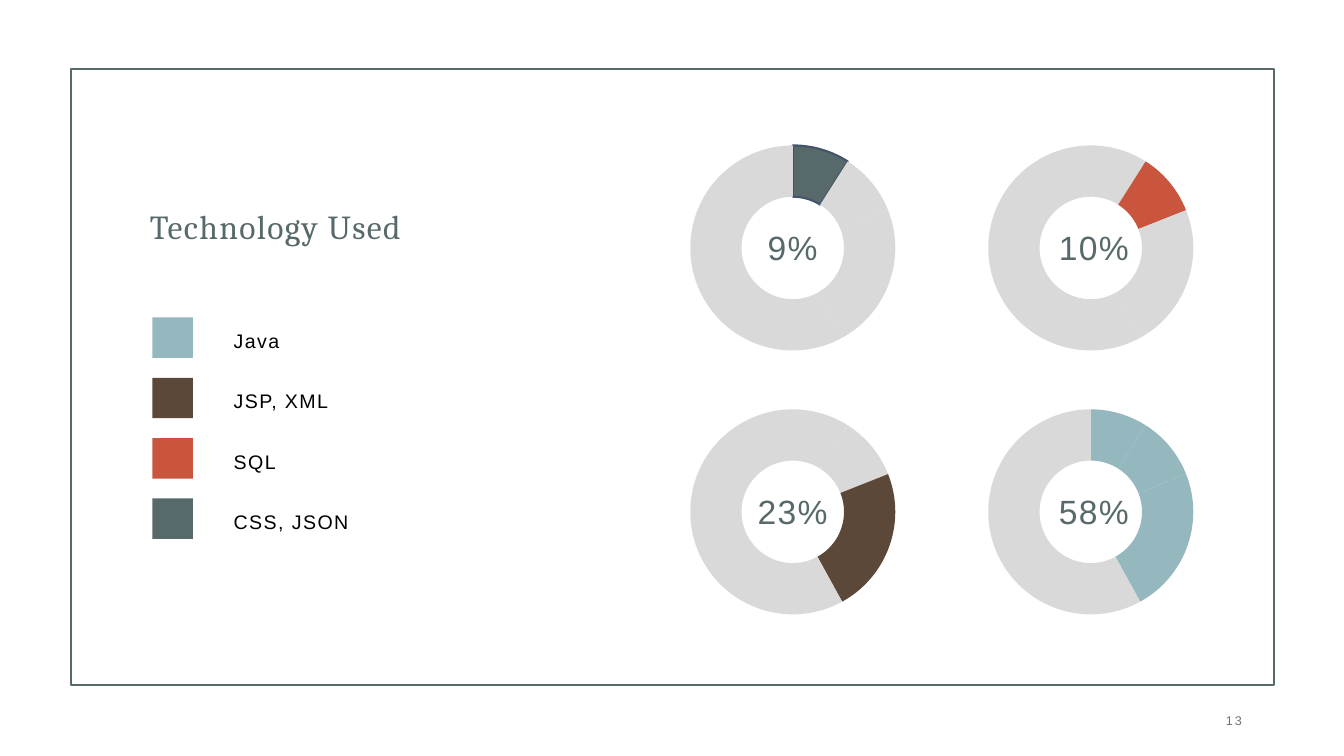
from dataclasses import dataclass

from lxml import etree
from pptx import Presentation
from pptx import util as u
from pptx.chart.data import CategoryChartData
from pptx.dml.color import RGBColor
from pptx.enum import chart as kinds, shapes, text
from pptx.oxml import parse_xml
from pptx.oxml.ns import nsdecls


@dataclass(frozen=True)
class Theme:
    slate: str = "58696B"
    blue: str = "95B8BF"
    brown: str = "5B4839"
    red: str = "CA553E"
    pale: str = "D9D9D9"
    navy: str = "44546A"
    gray: str = "767171"
    black: str = "000000"
    serif: str = "Cambria"
    sans: str = "Arial"
    large: float = 24
    body: float = 14
    tick: float = 10
    small: float = 9


THEME = Theme()


@dataclass(frozen=True)
class Box:
    left: float
    top: float
    width: float
    height: float

    def sides(self) -> list[u.Length]:
        return [u.Cm(side) for side in (self.left, self.top, self.width, self.height)]


@dataclass(frozen=True)
class Style:
    size: float
    color: str
    font: str = THEME.sans
    align: text.PP_ALIGN = text.PP_ALIGN.LEFT
    anchor: text.MSO_ANCHOR = text.MSO_ANCHOR.MIDDLE
    lead: float = 1.25
    track: int = 100


@dataclass(frozen=True)
class Entry:
    label: str
    color: str


@dataclass(frozen=True)
class Ring:
    label: str
    color: str
    col: int
    row: int
    lit: tuple[int, ...]
    edge: str | None = None


TITLE = Style(THEME.large, THEME.slate, font=THEME.serif)
KEY = Style(THEME.body, THEME.black, anchor=text.MSO_ANCHOR.TOP, lead=1.5)
SHARE = Style(THEME.large, THEME.slate, align=text.PP_ALIGN.CENTER)
NUMBER = Style(THEME.small, THEME.gray, align=text.PP_ALIGN.RIGHT, lead=1, track=150)

ENTRIES = [
    Entry("Java", THEME.blue),
    Entry("JSP, XML", THEME.brown),
    Entry("SQL", THEME.red),
    Entry("CSS, JSON", THEME.slate),
]
RINGS = [
    Ring("9%", THEME.slate, 0, 0, (0,), THEME.navy),
    Ring("10%", THEME.red, 1, 0, (1,)),
    Ring("23%", THEME.brown, 0, 1, (2,)),
    Ring("58%", THEME.blue, 1, 1, (0, 1, 2)),
]
VALUES = (9, 10, 23, 58)
KEY_STEP = 1.52
ROW_STEP = 6.65


def rgb(color: str) -> RGBColor:
    return RGBColor.from_string(color)


def write(slide, box: Box, words: str, style: Style) -> None:
    frame = slide.shapes.add_textbox(*box.sides()).text_frame
    frame.text = words
    frame.word_wrap = True
    frame.vertical_anchor = style.anchor
    line = frame.paragraphs[0]
    line.alignment = style.align
    line.line_spacing = style.lead
    run = line.runs[0]
    run.font.size = u.Pt(style.size)
    run.font.name = style.font
    run.font.color.rgb = rgb(style.color)
    run._r.get_or_add_rPr().set("spc", str(style.track))


def block(slide, box: Box, fill: str | None = None, line: str | None = None) -> None:
    shape = slide.shapes.add_shape(shapes.MSO_SHAPE.RECTANGLE, *box.sides())
    shape.shadow.inherit = False
    if fill:
        shape.fill.solid()
        shape.fill.fore_color.rgb = rgb(fill)
    else:
        shape.fill.background()
    if line:
        shape.line.color.rgb = rgb(line)
        shape.line.width = u.Pt(1.5)
    else:
        shape.line.fill.background()


def place(plot, width: float, height: float) -> None:
    for old in plot.findall("{*}layout"):
        plot.remove(old)
    layout = parse_xml(f"<c:layout {nsdecls('c')}><c:manualLayout/></c:layout>")
    parts = {
        "layoutTarget": "inner", "xMode": "edge", "yMode": "edge",
        "x": (1 - width) / 2, "y": (1 - height) / 2, "w": width, "h": height,
    }
    space = etree.QName(layout).namespace
    for name, value in parts.items():
        etree.SubElement(layout[0], f"{{{space}}}{name}").set("val", str(value))
    plot.insert(0, layout)


def donut(slide, ring: Ring) -> None:
    data = CategoryChartData()
    data.categories = ["1", "2", "3", "4"]
    data.add_series("Series 1", VALUES)
    box = Box(15.6 + 7.51 * ring.col, 3.33 + ROW_STEP * ring.row, 8.76, 5.84)
    chart = slide.shapes.add_chart(
        kinds.XL_CHART_TYPE.DOUGHNUT, *box.sides(), data
    ).chart
    chart.has_legend = False
    chart.has_title = False
    chart.font.name = THEME.sans
    chart.font.size = u.Pt(THEME.tick)
    chart.font.color.rgb = rgb(THEME.black)
    root = chart._chartSpace
    root.find(".//{*}holeSize").set("val", "75")
    place(root.find(".//{*}plotArea"), 0.59, 0.89)
    for i in range(len(VALUES)):
        form = chart.plots[0].series[0].points[i].format
        form.fill.solid()
        form.fill.fore_color.rgb = rgb(ring.color if i in ring.lit else THEME.pale)
        if ring.edge and i in ring.lit:
            form.line.color.rgb = rgb(ring.edge)
            form.line.width = u.Pt(1.5)
        else:
            form.line.fill.background()
    spot = Box(17.5 + 7.59 * ring.col, 3.63 + ROW_STEP * ring.row, 4.95, 4.95)
    write(slide, spot, ring.label, SHARE)


def main() -> None:
    deck = Presentation()
    deck.slide_width = u.Cm(33.87)
    deck.slide_height = u.Cm(19.05)
    slide = deck.slides.add_slide(deck.slide_layouts[6])
    block(slide, Box(1.78, 1.75, 30.33, 15.52), line=THEME.slate)
    write(slide, Box(3.53, 3.81, 11.33, 3.53), "Technology Used", TITLE)
    for i, entry in enumerate(ENTRIES):
        block(slide, Box(3.84, 8 + KEY_STEP * i, 1.02, 1.02), fill=entry.color)
        write(slide, Box(5.64, 7.87 + KEY_STEP * i, 4.95, 1.19), entry.label, KEY)
    for ring in RINGS:
        donut(slide, ring)
    write(slide, Box(23.93, 17.65, 7.62, 1.02), "13", NUMBER)
    deck.save("out.pptx")


if __name__ == "__main__":
    main()
